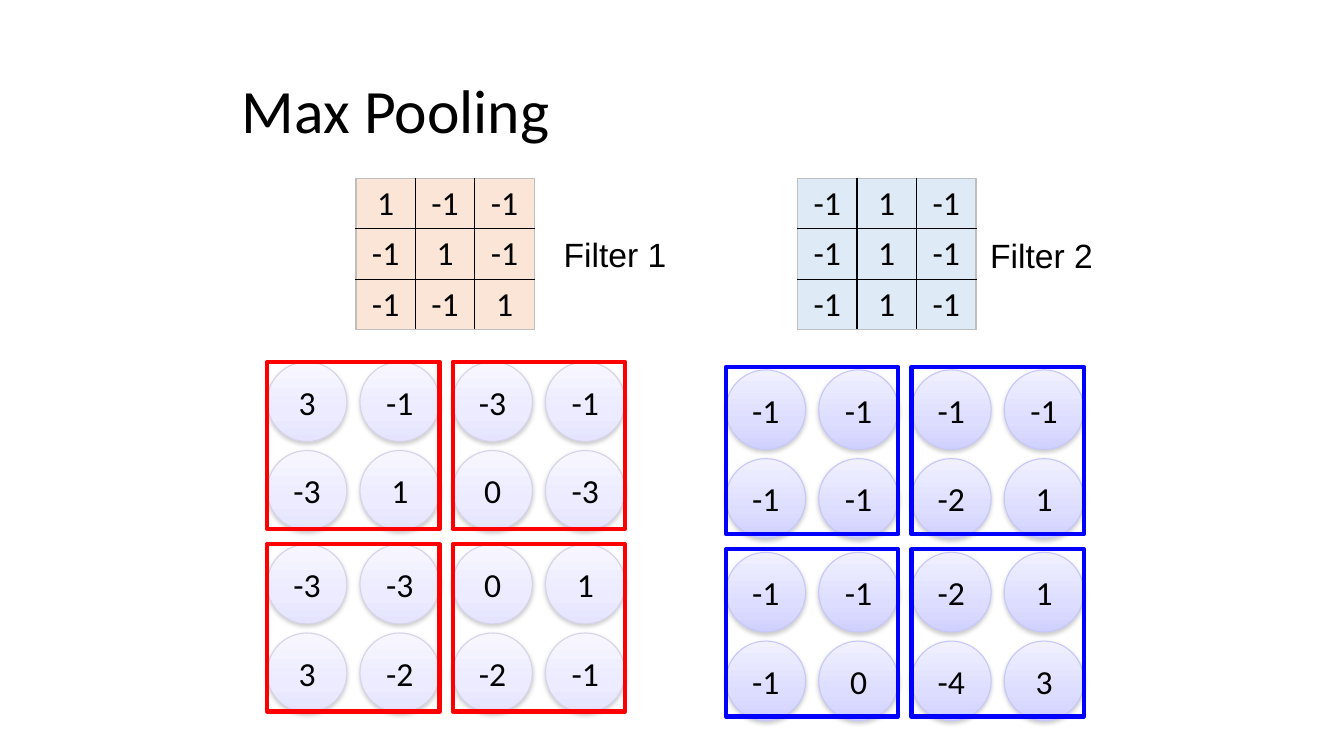
import copy

from lxml import etree
from pptx import Presentation
from pptx import util as u
from pptx.dml.color import RGBColor
from pptx.enum import shapes, text
from pptx.oxml.ns import qn

COLORS = {
    "black": "000000", "red": "FF0000", "blue": "0000FF", "shadow": "808080",
    "outer border": "BFBFBF", "peach": "FBE5D6", "sky": "DEEBF7",
    "pale outline": "D4D3E7", "deep outline": "C6C6FB",
    "pale top": "F7F6FF", "pale middle": "ECEBFF", "pale bottom": "E5E3FF",
    "deep top": "F0F0FF", "deep middle": "DDDDFF", "deep bottom": "D0D0FF",
}
FILTERS = [
    {"name": "Filter 1", "table": 3.53, "label": (5.31, 2.27), "cell": "peach",
     "kernel": [[1, -1, -1], [-1, 1, -1], [-1, -1, 1]],
     "left": 2.65, "circles top": 3.59, "windows top": 3.59, "tone": "pale", "window": "red",
     "map": [[3, -1, -3, -1], [-3, 1, 0, -3], [-3, -3, 0, 1], [3, -2, -2, -1]]},
    {"name": "Filter 2", "table": 7.91, "label": (9.54, 2.28), "cell": "sky",
     "kernel": [[-1, 1, -1], [-1, 1, -1], [-1, 1, -1]],
     "left": 7.2, "circles top": 3.67, "windows top": 3.64, "tone": "deep", "window": "blue",
     "map": [[-1, -1, -1, -1], [-1, -1, -2, 1], [-1, -1, -2, 1], [-1, 0, -4, 3]]},
]
CIRCLE, COLUMN_STEP, ROW_STEP = 0.79, 0.92, 0.88
WINDOW_STEP_X, WINDOW_STEP_Y = 1.84, 1.81


def rgb(name):
    return RGBColor.from_string(COLORS[name])


def write(frame, content, size=24, font="Calibri", align=text.PP_ALIGN.CENTER):
    frame.text = content
    paragraph = frame.paragraphs[0]
    paragraph.alignment = align
    run = paragraph.runs[0]
    run.font.size, run.font.name = u.Pt(size), font
    run.font.color.rgb = rgb("black")


presentation = Presentation()
presentation.slide_width, presentation.slide_height = u.Inches(13.33), u.Inches(7.5)
slide = presentation.slides.add_slide(presentation.slide_layouts[6])

title = slide.shapes.add_textbox(u.Inches(2.35), u.Inches(0.4), u.Inches(8.62), u.Inches(1.45))
frame = title.text_frame
frame.word_wrap = True
frame.vertical_anchor = text.MSO_ANCHOR.MIDDLE
frame.margin_left = frame.margin_right = u.Inches(0.05)
write(frame, "Max Pooling", 44, align=text.PP_ALIGN.LEFT)
frame.paragraphs[0].line_spacing = 0.9

for item in FILTERS:
    # Filter kernel
    table = slide.shapes.add_table(3, 3, u.Inches(item["table"]), u.Inches(1.77),
                                   u.Inches(1.77), u.Inches(1.5)).table
    for row, values in enumerate(item["kernel"]):
        for column, value in enumerate(values):
            cell = table.cell(row, column)
            write(cell.text_frame, str(value))
            cell.fill.solid()
            cell.fill.fore_color.rgb = rgb(item["cell"])
            properties = cell._tc.get_or_add_tcPr()
            outer_sides = [("lnL", column == 0), ("lnR", column == 2),
                           ("lnT", row == 0), ("lnB", row == 2)]
            for index, (side, is_outer) in enumerate(outer_sides):
                border = etree.Element(qn(f"a:{side}"), w=str(u.Pt(1)))
                fill = etree.SubElement(border, qn("a:solidFill"))
                color = "outer border" if is_outer else "black"
                etree.SubElement(fill, qn("a:srgbClr"), val=COLORS[color])
                properties.insert(index, border)

    left, top = item["label"]
    label = slide.shapes.add_textbox(u.Inches(left), u.Inches(top), u.Inches(1.58), u.Inches(0.51))
    label.text_frame.word_wrap = True
    write(label.text_frame, item["name"], font="Arial")

    # Feature map
    for row, values in enumerate(item["map"]):
        top = item["circles top"] + row // 2 * WINDOW_STEP_Y + row % 2 * ROW_STEP
        for column, value in enumerate(values):
            circle = slide.shapes.add_shape(
                shapes.MSO_SHAPE.OVAL, u.Inches(item["left"] + column * COLUMN_STEP),
                u.Inches(top), u.Inches(CIRCLE), u.Inches(CIRCLE))
            circle.fill.gradient()
            circle.fill.gradient_angle = 270
            stops = circle._element.spPr.find(".//" + qn("a:gsLst"))
            stops.append(copy.deepcopy(stops[0]))
            levels = [("top", 0), ("middle", 0.65), ("bottom", 1)]
            for stop, (level, position) in zip(circle.fill.gradient_stops, levels):
                stop.position = position
                stop.color.rgb = rgb(f"{item['tone']} {level}")
            circle.line.color.rgb = rgb(f"{item['tone']} outline")
            circle.line.width = u.Pt(0.75)
            circle.shadow.inherit = False
            effects = circle._element.spPr.find(qn("a:effectLst"))
            shadow = etree.SubElement(effects, qn("a:outerShdw"), blurRad=str(u.Pt(3.1)),
                                      dist=str(u.Pt(1.6)), dir="5400000", rotWithShape="0")
            shade = etree.SubElement(shadow, qn("a:srgbClr"), val=COLORS["shadow"])
            etree.SubElement(shade, qn("a:alpha"), val="38000")
            circle.text_frame.vertical_anchor = text.MSO_ANCHOR.MIDDLE
            write(circle.text_frame, str(value))

    # Pooling windows
    for row in range(2):
        for column in range(2):
            window = slide.shapes.add_shape(
                shapes.MSO_SHAPE.RECTANGLE, u.Inches(item["left"] + column * WINDOW_STEP_X),
                u.Inches(item["windows top"] + row * WINDOW_STEP_Y),
                u.Inches(1.71), u.Inches(1.66))
            window.fill.background()
            window.line.color.rgb = rgb(item["window"])
            window.line.width = u.Pt(3)
            window.shadow.inherit = False

presentation.save("out.pptx")
